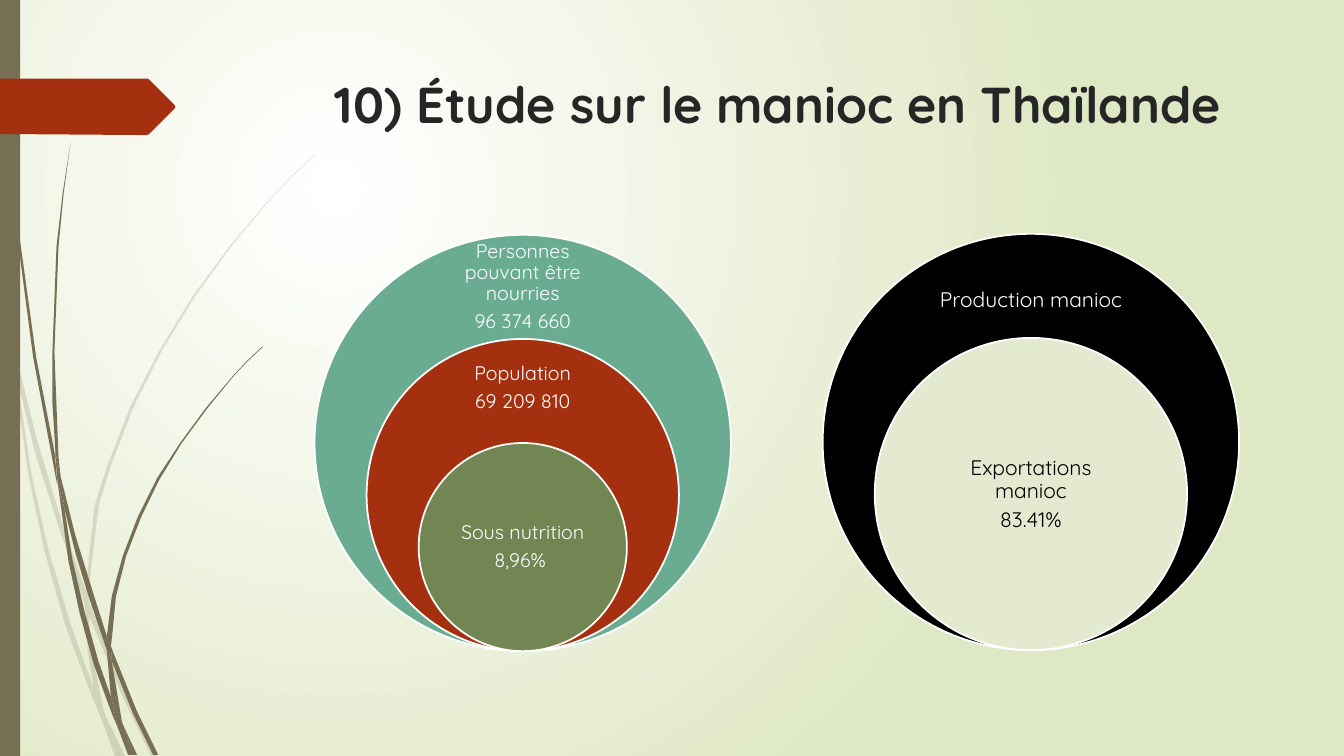
from dataclasses import dataclass

from lxml import etree
from pptx import Presentation
from pptx.dml.color import RGBColor
from pptx.enum.shapes import MSO_SHAPE
from pptx.enum.text import MSO_ANCHOR, PP_ALIGN
from pptx.oxml.ns import qn
from pptx.util import Emu, Pt

RECT, OVAL = MSO_SHAPE.RECTANGLE, MSO_SHAPE.OVAL
TOP, MIDDLE = MSO_ANCHOR.TOP, MSO_ANCHOR.MIDDLE
CENTER = PP_ALIGN.CENTER
SCALE = 9144  # EMU in one px, at 100 px to the inch
WIDTH, HEIGHT = 1333, 750


@dataclass(frozen=True)
class Theme:
    font: str = "Quicksand"
    white: str = "FFFFFF"
    black: str = "000000"
    ink: str = "262626"
    glow: str = "DFE8C4"
    grass: str = "766F54"
    red: str = "A53010"
    teal: str = "6AAC91"
    olive: str = "728653"
    pale: str = "E3EACF"
    title: int = 36
    label: int = 14
    large: int = 15
    edge: float = 1.25


def px(n):
    return Emu(round(n * SCALE))


def rgb(code):
    return RGBColor.from_string(code)


def write(frame, text, font, size, color, bold=False, line=1.0, after=0):
    """Put each line of text in its own centred paragraph."""
    for i, part in enumerate(text.split("\n")):
        para = frame.paragraphs[0] if i == 0 else frame.add_paragraph()
        para.alignment = CENTER
        para.line_spacing = line
        para.space_after = Pt(after)
        run = para.add_run()
        run.text = part
        run.font.name = font
        run.font.size = Pt(size)
        run.font.bold = bold
        run.font.color.rgb = rgb(color)


class Canvas:
    def __init__(self, slide, theme):
        self.slide, self.theme = slide, theme
        self.shapes = slide.shapes

    def glow(self, inner, outer):
        fill = self.slide.background.fill
        fill.gradient()
        for stop, color in zip(fill.gradient_stops, (inner, outer)):
            stop.color.rgb = rgb(color)
        grad = self.slide.element.find(".//" + qn("a:gradFill"))
        grad.remove(grad.find(qn("a:lin")))
        way = etree.SubElement(grad, qn("a:path"), {"path": "circle"})
        etree.SubElement(way, qn("a:fillToRect"), {
            "l": "50000", "t": "50000", "r": "100000", "b": "100000"})

    def paint(self, shape, color, edge=None, alpha=None):
        shape.shadow.inherit = False
        shape.fill.solid()
        shape.fill.fore_color.rgb = rgb(color)
        if alpha:
            tint = shape.element.spPr.find(".//" + qn("a:srgbClr"))
            etree.SubElement(tint, qn("a:alpha"), {"val": str(alpha * 1000)})
        if edge:
            shape.line.color.rgb = rgb(edge)
            shape.line.width = Pt(self.theme.edge)
        else:
            shape.line.fill.background()

    def shape(self, kind, x, y, w, h, color, edge=None):
        item = self.shapes.add_shape(kind, px(x), px(y), px(w), px(h))
        self.paint(item, color, edge)

    def outline(self, ring, color, alpha=None):
        """Fill the closed outline given as x, y, x, y and so on."""
        dots = [(px(x), px(y)) for x, y in zip(ring[::2], ring[1::2])]
        form = self.shapes.build_freeform(*dots[0])
        form.add_line_segments(dots[1:], close=True)
        self.paint(form.convert_to_shape(), color, alpha=alpha)

    def text(self, text, x, y, w, h, inset, anchor=MIDDLE, **style):
        frame = self.shapes.add_textbox(px(x), px(y), px(w), px(h)).text_frame
        frame.word_wrap = True
        frame.vertical_anchor = anchor
        frame.margin_left = frame.margin_right = px(inset)
        frame.margin_top = frame.margin_bottom = px(inset)
        write(frame, text, self.theme.font, **style)

    def nest(self, left, base, size, rings, inset, type_size):
        """Stack circles on a shared base, each a quarter smaller."""
        mid = left + size / 2
        for i, (text, fill, ink, y, w, h) in enumerate(rings):
            d = size * (4 - i) / 4
            self.shape(OVAL, mid - d / 2, base - d, d, d, fill,
                       self.theme.white)
            self.text(text, mid - w / 2, y - h / 2, w, h, inset,
                      size=type_size, color=ink, line=0.9, after=5)


# Grass pieces, each a ring of x, y pairs
FAINT = [
    (11, 350, 9, 322, 0, 282, 0, 299, 10, 344),
    (58, 522, 84, 599, 85, 586, 62, 520, 36, 434, 14, 345, 17, 376, 35, 450),
    (92, 607, 88, 596, 88, 610, 123, 694, 150, 750, 155, 750, 127, 692),
    (119, 750, 124, 750, 105, 711),
    (93, 683, 70, 619, 48, 545, 31, 469, 17, 376, 11, 350, 28, 470, 44, 546,
     65, 621, 92, 693, 101, 714, 99, 707),
    (84, 599, 87, 646, 93, 683, 96, 692, 105, 711, 103, 706, 91, 646,
     88, 610, 88, 608),
    (88, 584, 98, 501, 110, 462, 132, 405, 160, 349, 193, 295, 229, 245,
     268, 198, 290, 175, 312, 154, 312, 153, 289, 175, 268, 197, 228, 244,
     191, 294, 158, 348, 129, 404, 107, 461, 94, 501, 85, 584, 85, 586,
     88, 596),
    (101, 714, 114, 750, 119, 750),
    (88, 608, 88, 610, 88, 596, 85, 586, 84, 599),
    (96, 692, 93, 683, 99, 707, 101, 714, 119, 750, 105, 711),
]
STRONG = [
    (7, 110, 17, 233, 33, 355, 56, 477, 57, 481, 55, 457, 55, 453, 36, 355,
     19, 232, 8, 109, 5, 48, 4, 0, 3, 0, 4, 48),
    (88, 592, 106, 645, 106, 631, 93, 590, 75, 532, 60, 472, 64, 505,
     75, 549),
    (113, 649, 110, 641, 111, 656, 132, 708, 152, 749, 157, 749, 136, 706),
    (110, 691, 98, 657, 84, 607, 72, 556, 64, 505, 57, 477, 68, 557,
     79, 608, 93, 659, 111, 708, 117, 722, 116, 717),
    (60, 472, 58, 453, 54, 349, 58, 245, 63, 193, 70, 141, 62, 193, 56, 245,
     52, 349, 52, 400, 55, 449),
    (133, 749, 136, 749, 122, 719),
    (57, 477, 64, 505, 60, 472, 55, 449, 55, 453),
    (111, 633, 115, 592, 125, 552, 140, 513, 158, 476, 180, 440, 205, 406,
     231, 374, 245, 359, 261, 344, 260, 344, 245, 358, 231, 373, 204, 405,
     179, 439, 156, 474, 137, 512, 122, 551, 111, 591, 106, 631, 110, 641),
    (117, 722, 127, 749, 131, 749),
    (106, 645, 110, 691, 116, 706, 122, 719, 121, 716, 111, 656, 109, 651),
    (106, 645, 109, 651, 111, 656, 110, 641, 106, 631),
    (116, 706, 110, 691, 116, 717, 117, 722, 130, 749, 133, 749, 122, 719),
]
FLAG = (0, 78, 146, 78, 148, 79, 173, 104, 174, 106, 173, 108, 148, 133,
        146, 134, 136, 134, 0, 133)


def main():
    deck = Presentation()
    deck.slide_width, deck.slide_height = px(WIDTH), px(HEIGHT)
    look = Theme()
    page = Canvas(deck.slides.add_slide(deck.slide_layouts[6]), look)

    # Backdrop
    page.glow(look.white, look.glow)
    for ring in FAINT:
        page.outline(ring, look.grass, alpha=20)
    for ring in STRONG:
        page.outline(ring, look.grass)
    page.shape(RECT, 0, 0, 20, HEIGHT, look.grass)
    page.outline(FLAG, look.red)

    # Title
    page.text("10) Étude sur le manioc en Thaïlande", 284, 68, 975, 140, 5,
              anchor=TOP, size=look.title, color=look.ink, bold=True)

    # People: text, fill, ink, label centre, label width and height
    page.nest(312, 646, 413, [
        ("Personnes pouvant être nourries\n96 374 660",
         look.teal, look.white, 285, 144, 62),
        ("Population\n69 209 810", look.red, look.white, 385, 144, 58),
        ("Sous nutrition\n8,96% ", look.olive, look.white, 543, 146, 103),
    ], 11, look.label)

    # Cassava
    page.nest(816, 645, 413, [
        ("Production manioc", look.black, look.white, 298, 217, 70),
        ("Exportations manioc\n83.41%",
         look.pale, look.black, 491, 219, 155),
    ], 12, look.large)

    deck.save("out.pptx")


if __name__ == "__main__":
    main()
